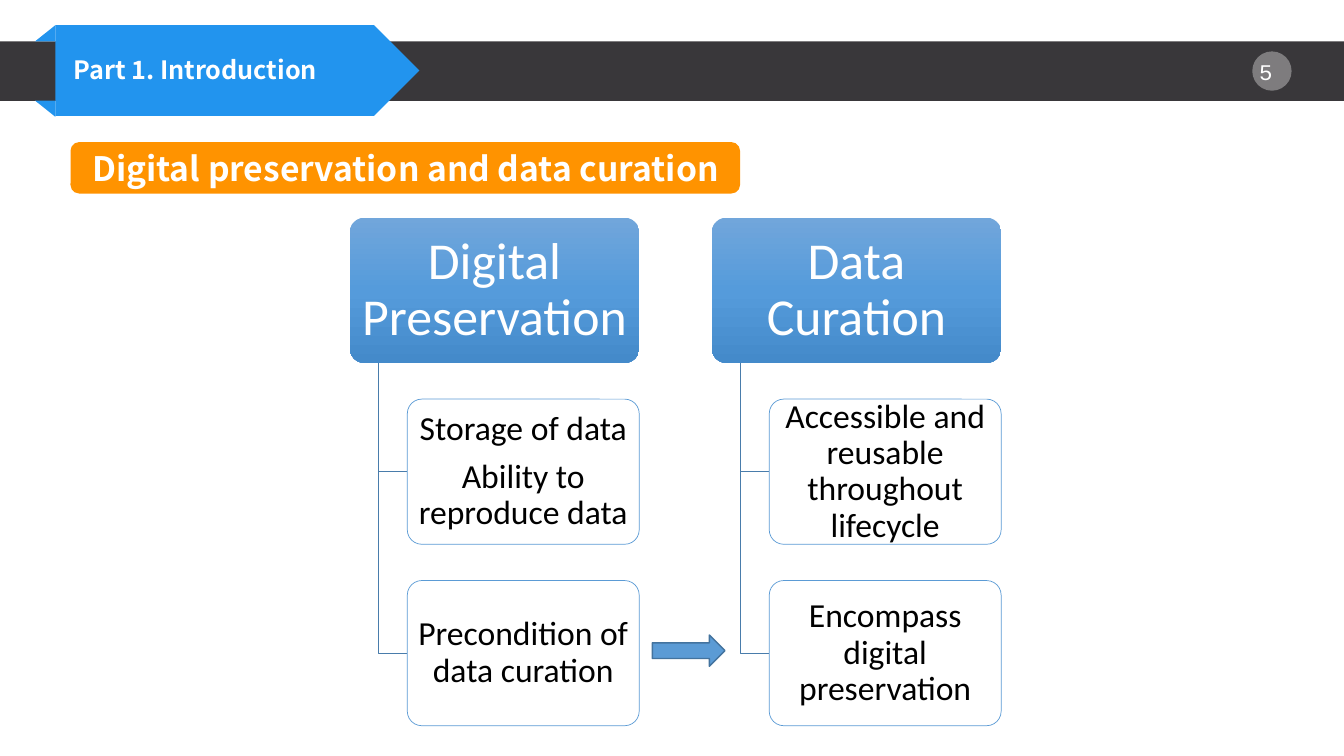
"""Build a slide comparing digital preservation with data curation."""
from copy import deepcopy

from lxml import etree
from pptx import Presentation
from pptx.dml.color import RGBColor
from pptx.enum.shapes import MSO_SHAPE
from pptx.enum.text import MSO_ANCHOR, MSO_AUTO_SIZE, PP_ALIGN
from pptx.oxml.ns import qn
from pptx.util import Inches, Pt

RECT, ROUND = MSO_SHAPE.RECTANGLE, MSO_SHAPE.ROUNDED_RECTANGLE
OVAL, TRIANGLE = MSO_SHAPE.OVAL, MSO_SHAPE.RIGHT_TRIANGLE
PENTAGON, ARROW = MSO_SHAPE.PENTAGON, MSO_SHAPE.RIGHT_ARROW
MIDDLE, NO_FIT = MSO_ANCHOR.MIDDLE, MSO_AUTO_SIZE.NONE
LEFT, CENTER = PP_ALIGN.LEFT, PP_ALIGN.CENTER

WHITE = RGBColor(0xFF, 0xFF, 0xFF)
BLACK = RGBColor(0x00, 0x00, 0x00)
DARK = RGBColor(0x39, 0x37, 0x3A)
RIBBON = RGBColor(0x22, 0x94, 0xEE)
ORANGE = RGBColor(0xFF, 0x93, 0x00)
BLUE = RGBColor(0x5B, 0x9B, 0xD5)
BRANCH = RGBColor(0x49, 0x7C, 0xAB)
ARROW_EDGE = RGBColor(0x43, 0x73, 0x9E)
SHADES = [(0, RGBColor(0x71, 0xA6, 0xDB)), (0.5, RGBColor(0x55, 0x9B, 0xDB)),
          (1, RGBColor(0x44, 0x8A, 0xCA))]
SANS, BODY, MONO = "Noto Sans CJK SC", "Calibri", "Courier New"

PART = "Part 1. Introduction"
TITLE = "Digital preservation and data curation"
PAGE = "5"
COLUMNS = [
    ("Digital Preservation", [["Storage of data", "Ability to reproduce data"],
                              ["Precondition of data curation"]]),
    ("Data Curation", [["Accessible and reusable throughout lifecycle"],
                       ["Encompass digital preservation"]]),
]

WIDTH, HEIGHT = 13.33, 7.5
BAR_TOP, BAR_H = 0.41, 0.59
RIBBON_X, RIBBON_Y, RIBBON_H = 0.55, 0.25, 0.9
FOLD_W, FOLD_H = 0.2, 0.16
TITLE_BOX = (0.7, 1.41, 6.64, 0.51)
GRID_X, GRID_Y = 3.47, 2.16
COL_STEP, ROW_STEP = 3.59, 1.8
CARD_W, CARD_H = 2.87, 1.44
TRUNK, INDENT = 0.28, 0.57


def add_box(s, kind, box, fill, edge=None, weight=0.5):
    sp = s.shapes.add_shape(kind, *map(Inches, box))
    sp.shadow.inherit = False
    sp.fill.solid()
    sp.fill.fore_color.rgb = fill
    if edge is None:
        sp.line.fill.background()
    else:
        sp.line.color.rgb = edge
        sp.line.width = Pt(weight)
    return sp


def write(sp, lines, font, size, color, bold=False, align=CENTER,
          inset=(0, 0), spacing=1, after=0):
    tf = sp.text_frame
    tf.word_wrap, tf.auto_size, tf.vertical_anchor = True, NO_FIT, MIDDLE
    tf.margin_left = tf.margin_right = Inches(inset[0])
    tf.margin_top = tf.margin_bottom = Inches(inset[1])
    for i, line in enumerate(lines):
        p = tf.add_paragraph() if i else tf.paragraphs[0]
        p.alignment, p.line_spacing, p.space_after = align, spacing, Pt(after)
        r = p.add_run()
        r.text = line
        r.font.name, r.font.size, r.font.bold = font, Pt(size), bold
        r.font.color.rgb = color
        etree.SubElement(r.font._element, qn("a:ea")).set("typeface", font)


def shade(sp):
    sp.fill.gradient()
    sp.fill.gradient_angle = 270
    gs = next(sp._element.spPr.iter(qn("a:gs")))
    gs.addnext(deepcopy(gs))
    for stop, (position, color) in zip(sp.fill.gradient_stops, SHADES):
        stop.position, stop.color.rgb = position, color


def add_branch(s, x, top, middle):
    trunk = Inches(x + TRUNK)
    fb = s.shapes.build_freeform(trunk, Inches(top))
    fb.add_line_segments([(trunk, Inches(middle)),
                          (Inches(x + INDENT), Inches(middle))], close=False)
    sp = fb.convert_to_shape()
    sp.shadow.inherit = False
    sp.fill.background()
    sp.line.color.rgb, sp.line.width = BRANCH, Pt(0.5)


def add_header(s):
    add_box(s, RECT, (0, BAR_TOP, WIDTH, BAR_H), DARK)
    disc = add_box(s, OVAL, (12.42, 0.51, 0.39, 0.39), WHITE)
    color = next(disc._element.spPr.iter(qn("a:srgbClr")))
    etree.SubElement(color, qn("a:alpha")).set("val", "35000")
    number = s.shapes.add_textbox(*map(Inches, (12.2, 0.52, 0.71, 0.37)))
    write(number, [PAGE], MONO, 16, WHITE)
    add_box(s, PENTAGON, (RIBBON_X, RIBBON_Y, 3.61, RIBBON_H), RIBBON)
    for y, flips in [(RIBBON_Y, ["flipH"]), (BAR_TOP + BAR_H, ["flipH", "flipV"])]:
        fold = add_box(s, TRIANGLE, (RIBBON_X - FOLD_W, y, FOLD_W, FOLD_H), RIBBON)
        for flip in flips:
            fold._element.spPr.find(qn("a:xfrm")).set(flip, "1")
    part = s.shapes.add_textbox(*map(Inches, (0.63, 0.49, 4.89, 0.4)))
    write(part, [PART], SANS, 18, WHITE, True, LEFT, (0.1, 0.05))


def add_title(s):
    add_box(s, ROUND, TITLE_BOX, ORANGE)
    title = s.shapes.title
    title.left, title.top, title.width, title.height = map(Inches, TITLE_BOX)
    write(title, [TITLE], SANS, 24, WHITE, True)
    s.shapes._spTree.append(title._element)


def add_column(s, x, heading, cards):
    head = add_box(s, ROUND, (x, GRID_Y, CARD_W, CARD_H), BLUE)
    head.adjustments[0] = 0.1
    shade(head)
    write(head, [heading], BODY, 37, WHITE, inset=(0.08, 0.05), spacing=0.9)
    for row, lines in enumerate(cards, 1):
        y = GRID_Y + row * ROW_STEP
        add_branch(s, x, GRID_Y + CARD_H, y + CARD_H / 2)
        card = add_box(s, ROUND, (x + INDENT, y, CARD_W - INDENT, CARD_H), WHITE, BLUE)
        card.adjustments[0] = 0.1
        write(card, lines, BODY, 24, BLACK, inset=(0.05, 0.03), spacing=0.9, after=8.4)


def main():
    prs = Presentation()
    prs.slide_width, prs.slide_height = Inches(WIDTH), Inches(HEIGHT)
    s = prs.slides.add_slide(prs.slide_layouts[5])
    add_header(s)
    add_title(s)
    for i, (heading, cards) in enumerate(COLUMNS):
        add_column(s, GRID_X + i * COL_STEP, heading, cards)
    add_box(s, ARROW, (6.47, 6.3, 0.72, 0.31), BLUE, ARROW_EDGE, 1)
    prs.save("out.pptx")


if __name__ == "__main__":
    main()
